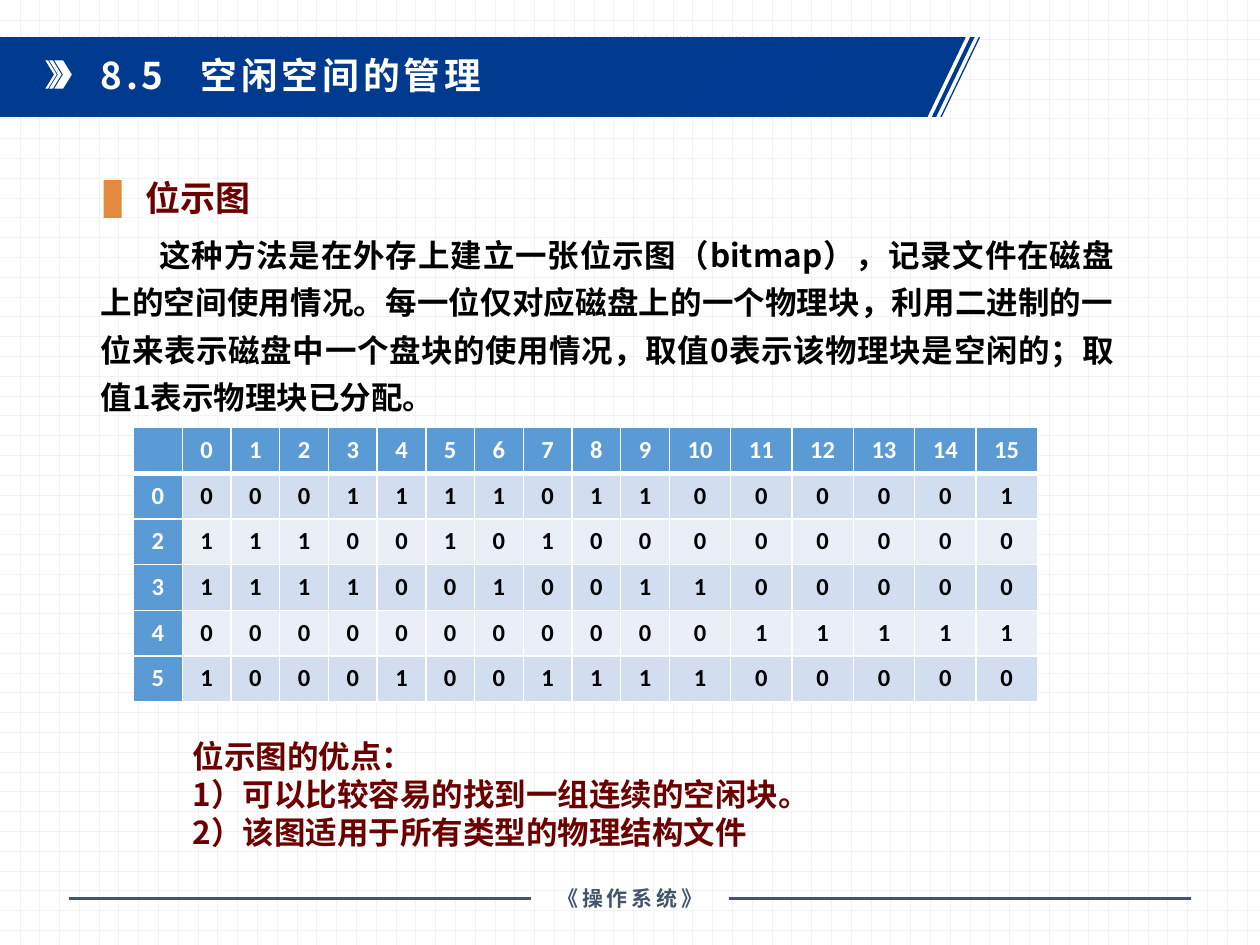
from lxml.etree import SubElement
from pptx import Presentation
from pptx.dml.color import RGBColor
from pptx.enum.dml import MSO_PATTERN as Pattern
from pptx.enum.shapes import MSO_CONNECTOR as Connector, MSO_SHAPE as Shape
from pptx.enum.text import MSO_ANCHOR as Anchor, PP_ALIGN as Align
from pptx.oxml.ns import qn
from pptx.util import Pt

NOTO = "Noto Sans CJK SC"
WHITE, BLACK, SLATE = "FFFFFF", "000000", "44546A"
MAROON, ORANGE, BLUE = "6C0000", "E3893D", "5B9BD5"
BANDS = ("D2DEEF", "EAEFF7")

BITMAP = {
    "0": "0001111011000001",
    "2": "1110010100000000",
    "3": "1111001001100000",
    "4": "0000000000011111",
    "5": "1000100111100000",
}


def color(value):
    return RGBColor.from_string(value)


def fill_pattern(fill, pattern, front, back):
    fill.patterned()
    fill.pattern = pattern
    fill.fore_color.rgb = color(front)
    fill.back_color.rgb = color(back)


class SlideWriter:
    def __init__(self, page, font=NOTO):
        self.page = page
        self.shapes = page.shapes
        self.font = font

    def add_span(self, para, text, size, tint, font=None, spacing=0):
        """Add one bold run; spacing is the extra gap between letters in points."""
        span = para.add_run()
        span.text = text
        span.font.size = Pt(size)
        span.font.bold = True
        span.font.color.rgb = color(tint)
        span.font.name = font or self.font
        props = span.font._element
        SubElement(props, qn("a:ea")).set("typeface", font or self.font)
        if spacing:
            props.set("spc", str(round(spacing * 100)))

    def text(self, left, top, width, height, lines, size, tint, font=None, spacing=0,
             line_spacing=None, align=Align.LEFT, anchor=Anchor.TOP, indent=0, tab=0):
        box = self.shapes.add_textbox(Pt(left), Pt(top), Pt(width), Pt(height))
        frame = box.text_frame
        frame.word_wrap = True
        frame.vertical_anchor = anchor
        for index, line in enumerate(lines):
            para = frame.add_paragraph() if index else frame.paragraphs[0]
            para.alignment = align
            para.line_spacing = line_spacing
            props = para._p.get_or_add_pPr()
            if indent:
                props.set("indent", str(Pt(indent)))
            if tab:
                stops = SubElement(props, qn("a:tabLst"))
                SubElement(stops, qn("a:tab"), pos=str(Pt(tab)), algn="l")
            self.add_span(para, line, size, tint, font, spacing)
        return box

    def preset(self, kind, left, top, width, height, tint):
        shape = self.shapes.add_shape(kind, Pt(left), Pt(top), Pt(width), Pt(height))
        shape.shadow.inherit = False
        shape.fill.solid()
        shape.fill.fore_color.rgb = color(tint)
        shape.line.fill.background()
        return shape

    def outline(self, *contours):
        """Build one borderless freeform from closed contours."""
        contours = [[(Pt(x), Pt(y)) for x, y in contour] for contour in contours]
        builder = self.shapes.build_freeform(*contours[0][0])
        for index, contour in enumerate(contours):
            if index:
                builder.move_to(*contour[0])
            builder.add_line_segments(contour[1:], close=True)
        shape = builder.convert_to_shape()
        shape.shadow.inherit = False
        shape.line.fill.background()
        return shape

    def rule_to(self, box, side, left, top, tint, weight):
        """Draw a straight line from a point to the middle of a side of the box."""
        start = (Pt(left), Pt(top))
        rule = self.shapes.add_connector(Connector.STRAIGHT, *start, *start)
        rule.end_connect(box, side)
        rule.line.color.rgb = color(tint)
        rule.line.width = Pt(weight)
        SubElement(rule._element.spPr, qn("a:effectLst"))

    def cell(self, cell, text, tint, fill, top_border, bottom_border):
        cell.margin_left = cell.margin_right = Pt(5)
        cell.margin_top = cell.margin_bottom = 0
        props = cell._tc.get_or_add_tcPr()
        borders = {"lnL": 1, "lnR": 1, "lnT": top_border, "lnB": bottom_border}
        for tag, weight in borders.items():
            edge = SubElement(props, qn("a:" + tag), w=str(Pt(weight)))
            SubElement(SubElement(edge, qn("a:solidFill")), qn("a:srgbClr"), val=WHITE)
        cell.fill.solid()
        cell.fill.fore_color.rgb = color(fill)
        para = cell.text_frame.paragraphs[0]
        para.alignment = Align.CENTER
        para.line_spacing = 1.25
        if text:
            self.add_span(para, text, 14, tint, "Calibri")

    def table(self, left, top, widths, row_height, rows):
        """Draw rows with a header row, a label column and banded values."""
        grid = self.shapes.add_table(len(rows), len(widths), Pt(left), Pt(top),
                                     Pt(sum(widths)), Pt(row_height * len(rows))).table
        for column, width in zip(grid.columns, widths):
            column.width = Pt(width)
        for r, row in enumerate(rows):
            grid.rows[r].height = Pt(row_height)
            for c, value in enumerate(row):
                heading = r == 0 or c == 0
                self.cell(grid.cell(r, c), value,
                          WHITE if heading else BLACK,
                          BLUE if heading else BANDS[(r - 1) % 2],
                          3 if r == 1 else 1, 3 if r == 0 else 1)


def draw_banner(writer):
    top, bottom, slant = 21, 66.8, 22
    stripes = [
        [(left, top), (right, top), (right - slant, bottom), (left - slant, bottom)]
        for left, right in ((559.4, 560.2), (554.5, 557))
    ]
    body = [(0, top), (552, top), (552 - slant, bottom), (0, bottom)]
    banner = writer.outline(*stripes, body)
    fill_pattern(banner.fill, Pattern.WIDE_UPWARD_DIAGONAL, "00449A", "003A8F")

    top, height, reach = 34.5, 16.2, 5
    writer.preset(Shape.CHEVRON, 31, top, 10, height, WHITE)
    for left, stroke in ((28.1, 2.1), (25.9, 1.5)):
        right, middle, bottom = left + stroke, top + height / 2, top + height
        arrow = writer.outline([(left, top), (right, top), (right + reach, middle),
                                (right, bottom), (left, bottom), (left + reach, middle)])
        arrow.fill.solid()
        arrow.fill.fore_color.rgb = color(WHITE)


def main():
    deck = Presentation()
    deck.slide_width, deck.slide_height = Pt(720), Pt(540)
    page = deck.slides.add_slide(deck.slide_layouts[6])
    fill_pattern(page.background.fill, Pattern.DOTTED_GRID, "F2F2F2", WHITE)
    writer = SlideWriter(page)

    draw_banner(writer)
    footer = writer.text(303.5, 502.5, 113, 22, ["《操作系统》"], 12, SLATE, "Arial",
                         spacing=2.2, align=Align.CENTER, anchor=Anchor.MIDDLE)
    for side, left in ((1, 39.6), (3, 680.4)):
        writer.rule_to(footer, side, left, 513.5, SLATE, 2)

    writer.text(50.4, 29.5, 449, 40, ["8.5\t空闲空间的管理"], 21, WHITE,
                spacing=2.2, line_spacing=0.9, tab=57.3)
    writer.text(76.3, 100, 191.5, 29.5, ["位示图"], 20, MAROON, line_spacing=0.9)
    writer.preset(Shape.RECTANGLE, 59.3, 103, 10.2, 21.6, ORANGE)
    writer.text(50.4, 126, 593.3, 116.6, [
        "这种方法是在外存上建立一张位示图（bitmap），记录文件在磁盘上的空间使用情况。"
        "每一位仅对应磁盘上的一个物理块，利用二进制的一位来表示磁盘中一个盘块的使用情况，"
        "取值0表示该物理块是空闲的；取值1表示物理块已分配。",
    ], 18, BLACK, line_spacing=1.25, align=Align.JUSTIFY, indent=33.5)

    header = ["", *map(str, range(16))]
    rows = [header] + [[label, *bits] for label, bits in BITMAP.items()]
    widths = [35.05 if len(label) == 2 else 27.85 for label in header]
    writer.table(76.3, 244.3, widths, 26.15, rows)

    writer.text(103, 417.6, 366, 72.7, [
        "位示图的优点：",
        "1）可以比较容易的找到一组连续的空闲块。",
        "2）该图适用于所有类型的物理结构文件",
    ], 18, MAROON)
    deck.save("out.pptx")


if __name__ == "__main__":
    main()
